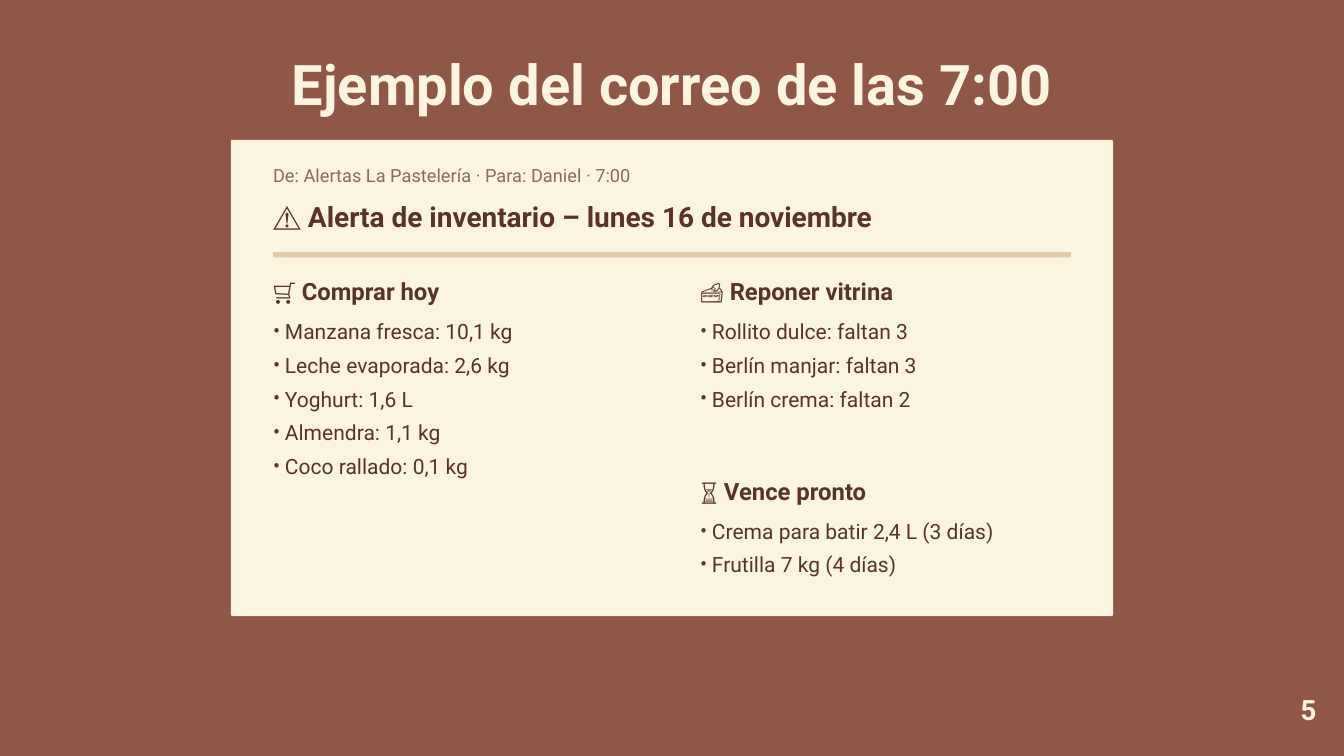
"""Build the slide that shows the sample 7:00 inventory e-mail."""
from dataclasses import dataclass

import pptx
import pptx.dml.color
import pptx.enum.shapes
import pptx.enum.text
import pptx.oxml.ns
import pptx.shapes.base
import pptx.slide
import pptx.util
from lxml import etree
from pptx.util import Cm

FONT = "Roboto"
COLORS = {
    "background": "905646",
    "cream": "FBF5E0",
    "rule": "E2C9A8",
    "muted": "8A6A5E",
    "brown": "5A3328",
}
ALIGN = pptx.enum.text.PP_ALIGN
SHAPE = pptx.enum.shapes.MSO_SHAPE
LEFT, RIGHT, INNER_WIDTH = 10.32, 26.46, 30.16
LIST_OFFSET, LINE_HEIGHT, BULLET_INDENT = 1.45, 1.27, 0.45


@dataclass
class Style:
    size: float
    line: float
    color: str = "brown"
    bold: bool = True
    align: ALIGN = ALIGN.LEFT
    bullet: bool = False


@dataclass
class Section:
    heading: str
    items: list[str]
    left: float
    top: float
    width: float


TITLE = Style(60, 84, "cream", align=ALIGN.CENTER)
SENDER = Style(19.5, 27.3, "muted", bold=False)
SUBJECT = Style(30, 42)
HEADING = Style(25.5, 35.7)
ITEM = Style(22.5, 36, bold=False, bullet=True)
NUMBER = Style(30, 42, "cream", align=ALIGN.RIGHT)

SECTIONS = [
    Section("🛒 Comprar hoy",
            ["Manzana fresca: 10,1 kg", "Leche evaporada: 2,6 kg", "Yoghurt: 1,6 L",
             "Almendra: 1,1 kg", "Coco rallado: 0,1 kg"], LEFT, 10.29, 14.8),
    Section("🍰 Reponer vitrina",
            ["Rollito dulce: faltan 3", "Berlín manjar: faltan 3",
             "Berlín crema: faltan 2"], RIGHT, 10.29, 14.28),
    Section("⏳ Vence pronto",
            ["Crema para batir 2,4 L (3 días)", "Frutilla 7 kg (4 días)"],
            RIGHT, 17.83, 14.28),
]


def rgb(name: str) -> pptx.dml.color.RGBColor:
    """Return a named colour."""
    return pptx.dml.color.RGBColor.from_string(COLORS[name])


def add_bullet(p) -> None:
    """Give a paragraph a hanging bullet."""
    pPr = p._p.get_or_add_pPr()
    pPr.set("marL", str(Cm(BULLET_INDENT)))
    pPr.set("indent", str(-Cm(BULLET_INDENT)))
    etree.SubElement(pPr, pptx.oxml.ns.qn("a:buFont"), typeface=FONT)
    etree.SubElement(pPr, pptx.oxml.ns.qn("a:buChar"), char="•")


def write(sp: pptx.shapes.base.BaseShape, text: str, style: Style) -> None:
    """Fill a shape with text, one paragraph a line."""
    tf = sp.text_frame
    tf.text = text
    tf.word_wrap = True
    tf.auto_size = pptx.enum.text.MSO_AUTO_SIZE.NONE
    tf.vertical_anchor = pptx.enum.text.MSO_ANCHOR.TOP
    tf.margin_left = tf.margin_top = tf.margin_right = tf.margin_bottom = 0
    for p in tf.paragraphs:
        if style.bullet:
            add_bullet(p)
        p.alignment = style.align
        p.line_spacing = pptx.util.Pt(style.line)
        p.space_before = pptx.util.Pt(0)
        for r in p.runs:
            r.font.name = FONT
            r.font.size = pptx.util.Pt(style.size)
            r.font.bold = style.bold
            r.font.color.rgb = rgb(style.color)


def add_text(s: pptx.slide.Slide, text: str, style: Style, left: float, top: float,
             width: float, height: float) -> None:
    """Add a text box measured in centimetres."""
    sp = s.shapes.add_textbox(Cm(left), Cm(top), Cm(width), Cm(height))
    write(sp, text, style)


def add_block(s: pptx.slide.Slide, kind: SHAPE, color: str, left: float, top: float,
              width: float, height: float) -> pptx.shapes.base.BaseShape:
    """Add a plain filled shape measured in centimetres."""
    sp = s.shapes.add_shape(kind, Cm(left), Cm(top), Cm(width), Cm(height))
    sp.shadow.inherit = False
    sp.fill.solid()
    sp.fill.fore_color.rgb = rgb(color)
    sp.line.fill.background()
    return sp


def add_section(s: pptx.slide.Slide, section: Section) -> None:
    """Add a heading with its bulleted list."""
    add_text(s, section.heading, HEADING, section.left, section.top, section.width, 1.22)
    add_text(s, "\n".join(section.items), ITEM, section.left, section.top + LIST_OFFSET,
             section.width, LINE_HEIGHT * len(section.items))


def main() -> None:
    """Build and save the presentation."""
    prs = pptx.Presentation()
    prs.slide_width, prs.slide_height = Cm(50.8), Cm(28.58)
    s = prs.slides.add_slide(prs.slide_layouts[5])
    s.background.fill.solid()
    s.background.fill.fore_color.rgb = rgb("background")

    title = s.shapes.title
    title.left, title.top, title.width, title.height = Cm(0), Cm(1.45), Cm(50.8), Cm(2.95)
    write(title, "Ejemplo del correo de las 7:00", TITLE)

    card = add_block(s, SHAPE.ROUNDED_RECTANGLE, "cream", 8.73, 5.29, 33.34, 18)
    card.adjustments[0] = 0.003
    add_block(s, SHAPE.RECTANGLE, "rule", LEFT, 9.53, INNER_WIDTH, 0.2)

    add_text(s, "De: Alertas La Pastelería · Para: Daniel · 7:00", SENDER,
             LEFT, 6.07, INNER_WIDTH, 0.97)
    add_text(s, "⚠️ Alerta de inventario – lunes 16 de noviembre", SUBJECT,
             LEFT, 7.34, INNER_WIDTH, 1.47)
    for section in SECTIONS:
        add_section(s, section)
    add_text(s, "5", NUMBER, 45.52, 25.98, 4.24, 1.47)

    prs.save("out.pptx")


if __name__ == "__main__":
    main()
